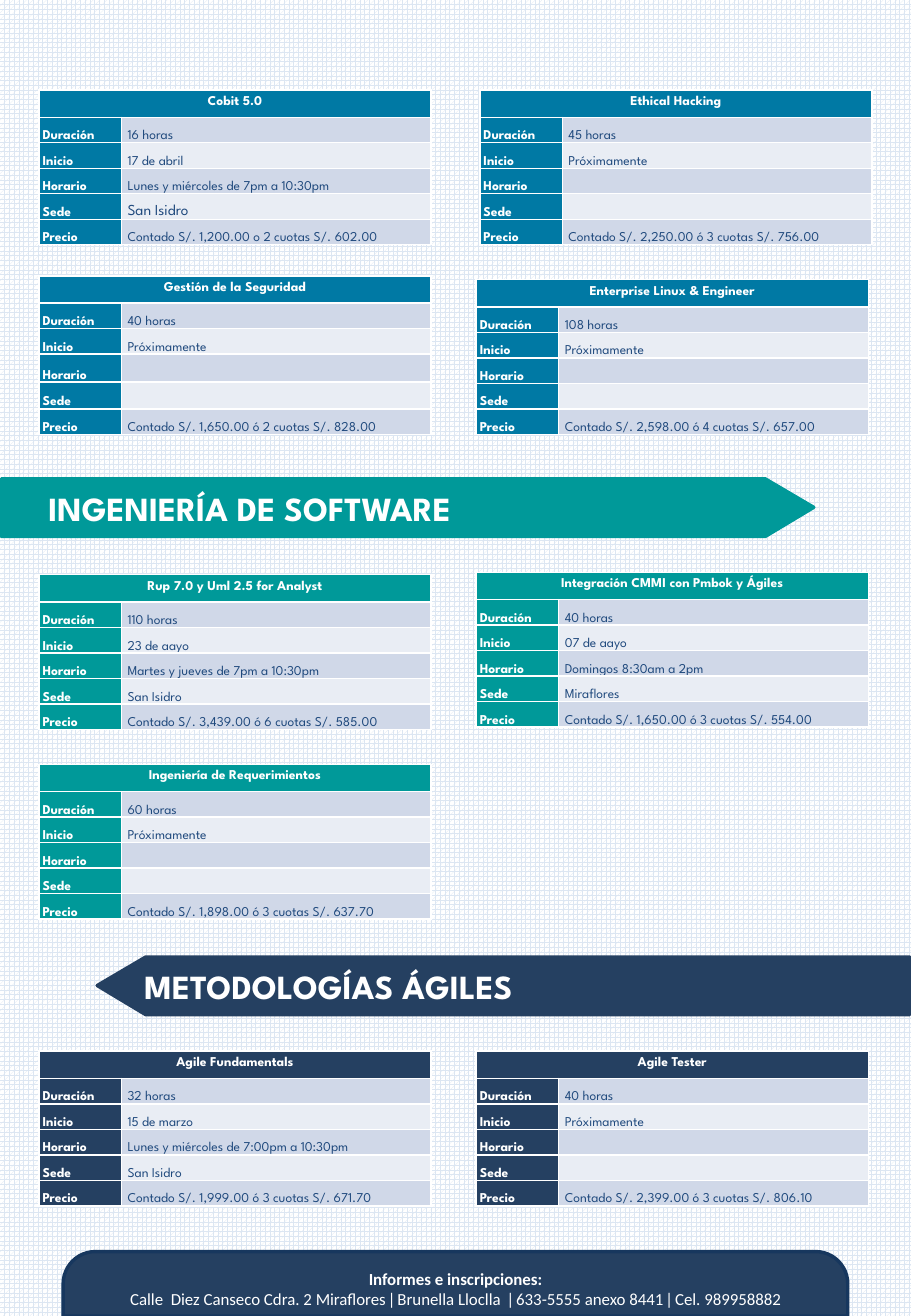
from dataclasses import dataclass

from lxml import etree
from pptx import Presentation
from pptx.dml.color import RGBColor
from pptx.enum.dml import MSO_PATTERN
from pptx.enum.shapes import MSO_SHAPE
from pptx.enum.text import MSO_ANCHOR, PP_ALIGN
from pptx.oxml.ns import qn
from pptx.util import Pt

PX = 4572
LEFT, CENTER = PP_ALIGN.LEFT, PP_ALIGN.CENTER
TOP, MIDDLE, BOTTOM = MSO_ANCHOR.TOP, MSO_ANCHOR.MIDDLE, MSO_ANCHOR.BOTTOM
SPHERE = MSO_PATTERN.SPHERE
ROUNDED_TOP = MSO_SHAPE.ROUND_2_SAME_RECTANGLE


@dataclass(frozen=True)
class Theme:
    blue: str = "0079A4"
    teal: str = "009999"
    navy: str = "254061"
    navy_edge: str = "17375E"
    ink: str = "1F497D"
    white: str = "FFFFFF"
    weave: str = "DCE6F2"
    bands: tuple = ("D0D8E8", "E9EDF4")
    display: str = "League Spartan"
    plain: str = "Calibri"
    banner_size: int = 20
    contact_size: int = 10
    venue_size: int = 9
    course_size: int = 8
    border: int = 1
    outline: int = 2


THEME = Theme()
LABELS = ("Duración", "Inicio", "Horario", "Sede", "Precio")
ROWS = (45, 42, 42, 42, 42, 42)
LOOSE_ROWS = (45, 42, 42, 46, 44, 42)
COLUMNS = (136, 510)
COURSES = (
    (THEME.blue, 64, 148, "Cobit 5.0",
     ("16 horas", "17 de abril", "Lunes y miércoles de 7pm a 10:30pm", "San Isidro",
      "Contado S/. 1,200.00 o 2 cuotas S/. 602.00"), {"venue_size": THEME.venue_size}),
    (THEME.blue, 790, 148, "Ethical Hacking",
     ("45 horas", "Próximamente", "", "", "Contado S/. 2,250.00 ó 3 cuotas S/. 756.00"), {}),
    (THEME.blue, 64, 454, "Gestión de la Seguridad",
     ("40 horas", "Próximamente", "", "", "Contado S/. 1,650.00 ó 2 cuotas S/. 828.00"),
     {"heights": LOOSE_ROWS}),
    (THEME.blue, 784, 460, "Enterprise Linux & Engineer",
     ("108 horas", "Próximamente", "", "", "Contado S/. 2,598.00 ó 4 cuotas S/. 657.00"), {}),
    (THEME.teal, 64, 946, "Rup 7.0 y Uml 2.5 for Analyst",
     ("110 horas", "23 de aayo", "Martes y jueves de 7pm a 10:30pm", "San Isidro",
      "Contado S/. 3,439.00 ó 6 cuotas S/. 585.00"), {}),
    (THEME.teal, 784, 942, "Integración CMMI con Pmbok y Ágiles",
     ("40 horas", "07 de aayo", "Domingos 8:30am a 2pm", "Miraflores",
      "Contado S/. 1,650.00 ó 3 cuotas S/. 554.00"), {}),
    (THEME.teal, 64, 1258, "Ingeniería de Requerimientos",
     ("60 horas", "Próximamente", "", "", "Contado S/. 1,898.00 ó 3 cuotas S/. 637.70"), {}),
    (THEME.navy, 64, 1730, "Agile Fundamentals",
     ("32 horas", "15 de marzo", "Lunes y miércoles de 7:00pm a 10:30pm", "San Isidro",
      "Contado S/. 1,999.00 ó 3 cuotas S/. 671.70"), {}),
    (THEME.navy, 784, 1730, "Agile Tester",
     ("40 horas", "Próximamente", "", "", "Contado S/. 2,399.00 ó 3 cuotas S/. 806.10"), {}),
)


def rgb(color):
    return RGBColor.from_string(color)


class Flyer:
    def __init__(self, slide, theme):
        self.slide = slide
        self.theme = theme

    def backdrop(self):
        fill = self.slide.background.fill
        fill.patterned()
        fill.pattern = SPHERE
        fill.fore_color.rgb = rgb(self.theme.weave)
        fill.back_color.rgb = rgb(self.theme.white)

    def add_text(self, paragraph, text, size, font, color, bold, align=LEFT):
        paragraph.alignment = align
        run = paragraph.add_run()
        run.text = text
        run.font.size = Pt(size)
        run.font.name = font
        run.font.bold = bold
        run.font.color.rgb = rgb(color)

    def paint(self, shape, fill, line):
        shape.shadow.inherit = False
        shape.fill.solid()
        shape.fill.fore_color.rgb = rgb(fill)
        shape.line.color.rgb = rgb(line)
        shape.line.width = Pt(self.theme.outline)
        shape.text_frame.word_wrap = True
        shape.text_frame.vertical_anchor = MIDDLE

    def banner(self, text, color, edge, shoulder, tip, top, height=95):
        bottom = top + height
        outline = self.slide.shapes.build_freeform(edge, bottom, scale=PX)
        outline.add_line_segments(
            [(edge, top), (shoulder, top), (tip, top + height // 2), (shoulder, bottom)])
        arrow = outline.convert_to_shape()
        self.paint(arrow, color, color)
        heading = arrow.text_frame.paragraphs[0]
        self.add_text(heading, text, self.theme.banner_size, self.theme.display,
                      self.theme.white, True)
        heading._p.get_or_add_pPr().set("marL", str(58 * PX))

    def cell(self, cell, text, fill, color, bold, size, side=0):
        properties = cell._tc.get_or_add_tcPr()
        for edge in ("a:lnL", "a:lnR", "a:lnT", "a:lnB"):
            line = etree.SubElement(properties, qn(edge), w=str(Pt(self.theme.border)))
            solid = etree.SubElement(line, qn("a:solidFill"))
            etree.SubElement(solid, qn("a:srgbClr"), val=self.theme.white)
        cell.fill.solid()
        cell.fill.fore_color.rgb = rgb(fill)
        paragraph = cell.text_frame.paragraphs[0]
        if side:
            cell.margin_left = cell.margin_right = side * PX
            cell.margin_top = cell.margin_bottom = 0
            cell.vertical_anchor = BOTTOM
            paragraph.line_spacing = 1.15
        else:
            cell.vertical_anchor = TOP
        if text:
            self.add_text(paragraph, text, size, self.theme.display, color, bold,
                          LEFT if side else CENTER)
        else:
            etree.SubElement(paragraph._p, qn("a:endParaRPr"), sz=str(size * 100))

    def course(self, color, left, top, name, values, heights=ROWS, venue_size=None):
        theme = self.theme
        table = self.slide.shapes.add_table(
            len(heights), len(COLUMNS), left * PX, top * PX,
            sum(COLUMNS) * PX, sum(heights) * PX).table
        table.first_row = table.horz_banding = False
        for column, width in zip(table.columns, COLUMNS):
            column.width = width * PX
        for row, height in zip(table.rows, heights):
            row.height = height * PX
        size = theme.course_size
        table.cell(0, 0).merge(table.cell(0, 1))
        self.cell(table.cell(0, 0), name, color, theme.white, True, size)
        self.cell(table.cell(0, 1), "", color, theme.white, True, size)
        for index, (label, value) in enumerate(zip(LABELS, values)):
            value_size = venue_size if venue_size and label == "Sede" else size
            self.cell(table.cell(index + 1, 0), label, color, theme.white, True, size, 6)
            self.cell(table.cell(index + 1, 1), value, theme.bands[index % 2],
                      theme.ink, False, value_size, 10)

    def contact(self, heading, details, left, top, width, height):
        panel = self.slide.shapes.add_shape(
            ROUNDED_TOP, left * PX, top * PX, width * PX, height * PX)
        panel.adjustments[0] = 0.5
        panel.adjustments[1] = 0
        self.paint(panel, self.theme.navy, self.theme.navy_edge)
        frame = panel.text_frame
        for paragraph, text, bold in ((frame.paragraphs[0], heading, True),
                                      (frame.add_paragraph(), details, False)):
            self.add_text(paragraph, text, self.theme.contact_size, self.theme.plain,
                          self.theme.white, bold, CENTER)


def main():
    deck = Presentation()
    deck.slide_width, deck.slide_height = 1500 * PX, 2166 * PX
    flyer = Flyer(deck.slides.add_slide(deck.slide_layouts[6]), THEME)
    flyer.backdrop()
    flyer.contact(
        "Informes e inscripciones:",
        "Calle  Diez Canseco Cdra. 2 Miraflores ǀ Brunella Lloclla  ǀ "
        "633-5555 anexo 8441 ǀ Cel. 989958882",
        104, 2060, 1292, 106)
    for color, left, top, name, values, options in COURSES:
        flyer.course(color, left, top, name, values, **options)
    flyer.banner("INGENIERÍA DE SOFTWARE", THEME.teal, 2, 1260, 1340, 788)
    flyer.banner("METODOLOGÍAS ÁGILES", THEME.navy, 1498, 240, 160, 1575)
    deck.save("out.pptx")


if __name__ == "__main__":
    main()
